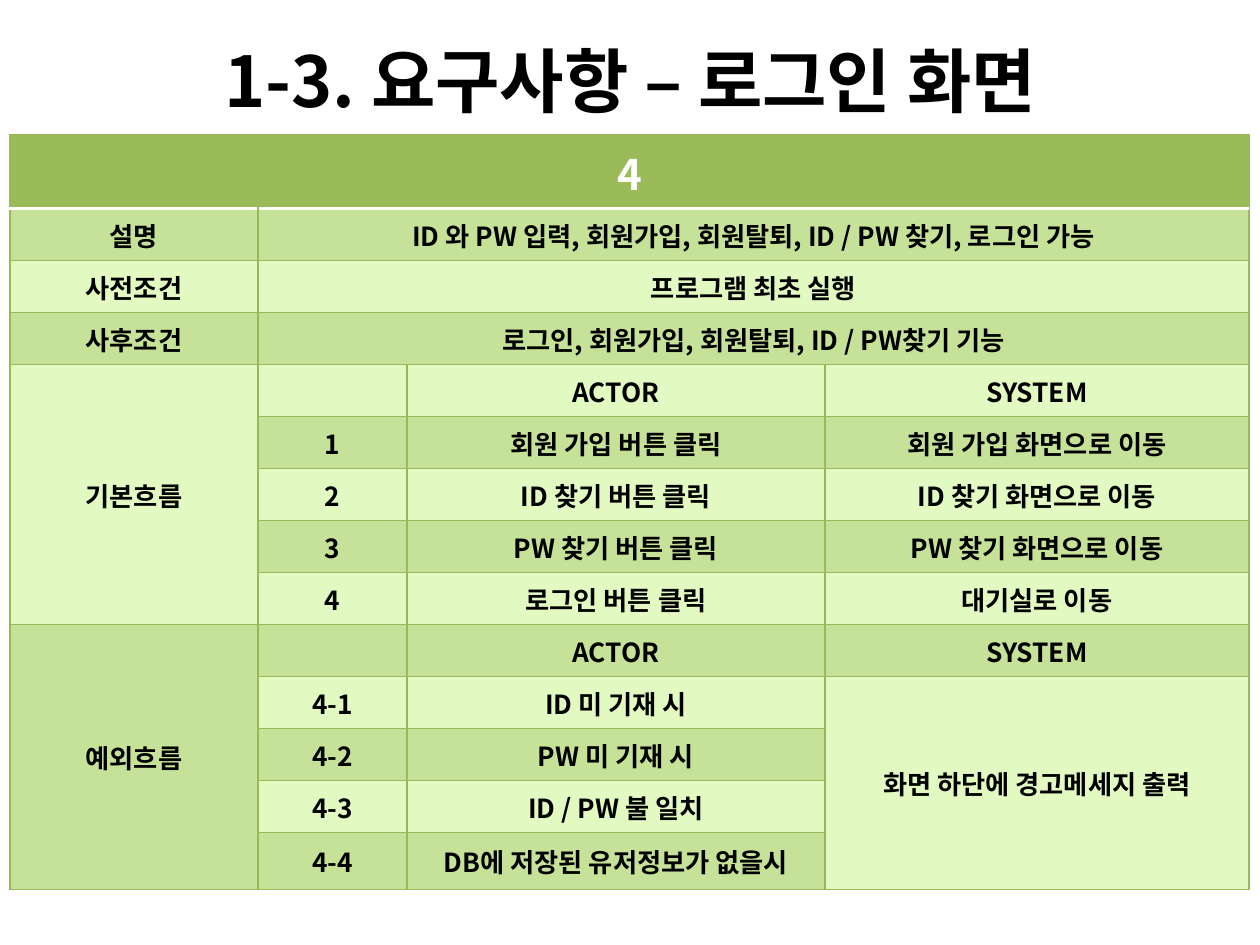
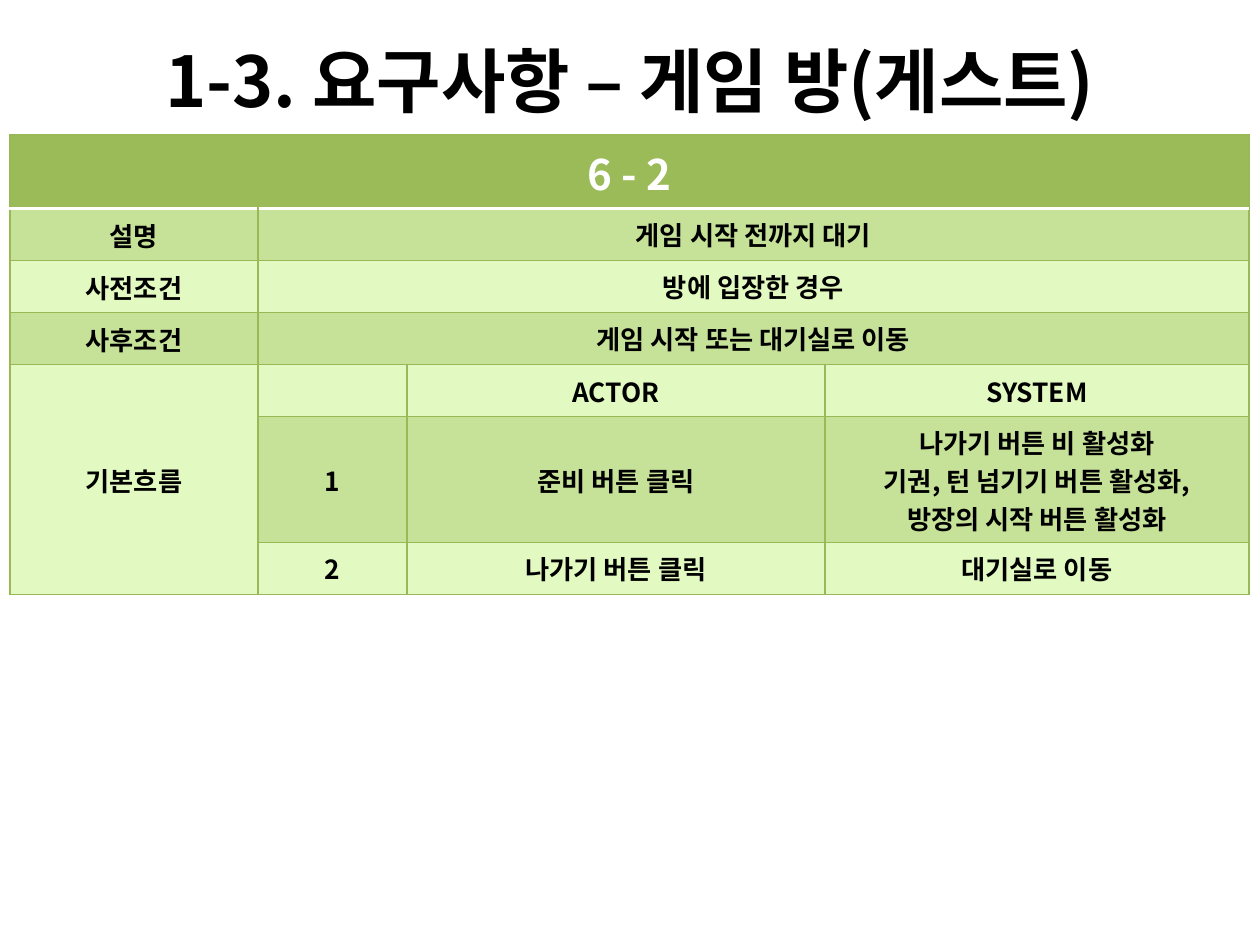
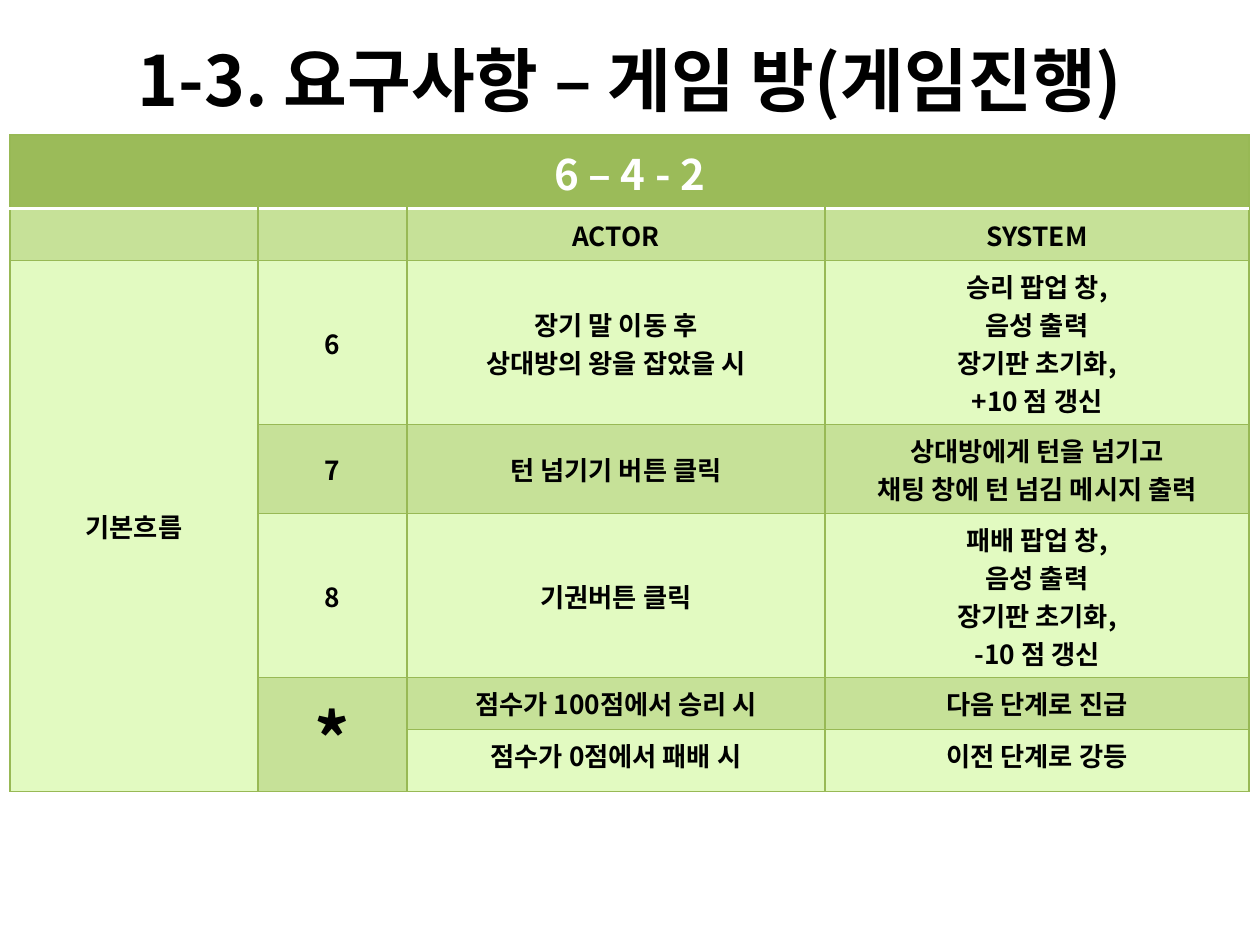
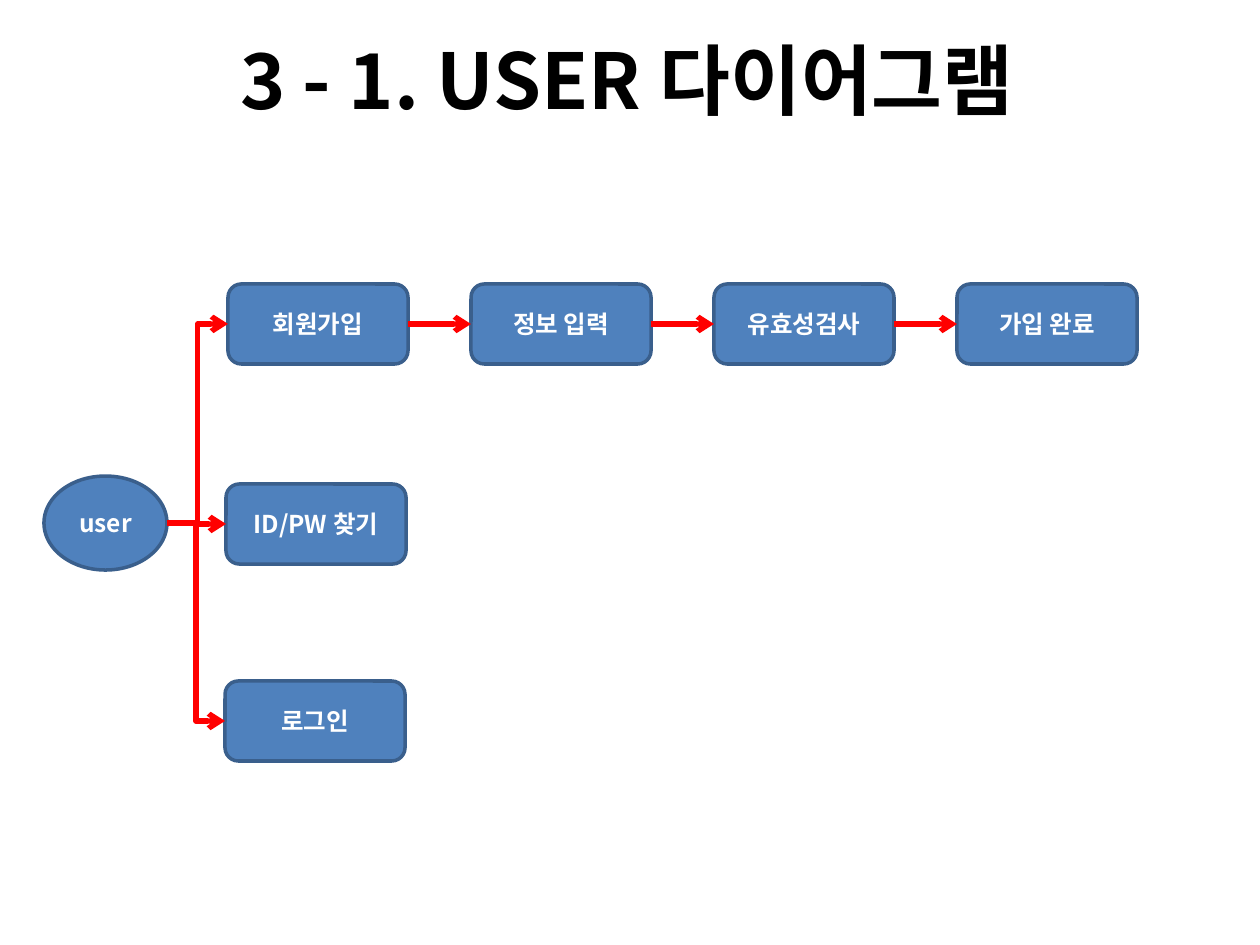
"""Build four slides: three use-case requirement tables and a user flow diagram."""
from dataclasses import dataclass

from lxml.etree import SubElement
from pptx import Presentation
from pptx.dml.color import RGBColor as RGB
from pptx.enum.shapes import MSO_CONNECTOR as CONNECTOR, MSO_SHAPE as SHAPE
from pptx.enum.text import MSO_ANCHOR as ANCHOR, PP_ALIGN as ALIGN
from pptx.oxml import parse_xml
from pptx.oxml.ns import nsdecls, qn
from pptx.util import Pt

PX = 914400 / 126


@dataclass(frozen=True)
class Theme:
    font: str = "Noto Sans CJK KR"
    ink: str = "000000"
    white: str = "FFFFFF"
    header: str = "9BBB59"
    band_dark: str = "C6E198"
    band_light: str = "E2FAC1"
    grid: str = "98B955"
    node: str = "4F81BD"
    node_edge: str = "3A5F8C"
    arrow: str = "FF0000"
    title_size: float = 40
    title_fitted: float = 39.6
    title_large: float = 44
    header_size: float = 24
    body_size: float = 15
    node_size: float = 14


def px(*lengths):
    return [round(length * PX) for length in lengths]


def write(frame, text, size, color):
    frame.word_wrap = True
    for index, line in enumerate(text.split("\n")):
        paragraph = frame.paragraphs[0] if index == 0 else frame.add_paragraph()
        paragraph.alignment = ALIGN.CENTER
        if not line:
            SubElement(paragraph._p, qn("a:endParaRPr"), sz=str(round(size * 100)))
            continue
        run = paragraph.add_run()
        run.text = line
        for name, value in {"name": theme.font, "size": Pt(size), "bold": True}.items():
            setattr(run.font, name, value)
        run.font.color.rgb = RGB.from_string(color)
        SubElement(run._r.get_or_add_rPr(), qn("a:ea"), typeface=theme.font)


theme = Theme()
deck = Presentation()
deck.slide_width, deck.slide_height = px(1260, 945)
blank = deck.slide_layouts[6]

LEFT, UP = "<", "^"
COLUMNS = [248, 149, 418, 424]
ROW = 52
REQUIREMENTS = [
    {
        "title": "1-3. 요구사항 – 로그인 화면",
        "size": theme.title_size,
        "heights": [74] + [ROW] * 12 + [57],
        "top_cells": set(),
        "rows": [
            ["4", LEFT, LEFT, LEFT],
            ["설명", "ID 와 PW 입력, 회원가입, 회원탈퇴, ID / PW 찾기, 로그인 가능", LEFT, LEFT],
            ["사전조건", "프로그램 최초 실행", LEFT, LEFT],
            ["사후조건", "로그인, 회원가입, 회원탈퇴, ID / PW찾기 기능", LEFT, LEFT],
            ["기본흐름", "", "ACTOR", "SYSTEM"],
            [UP, "1", "회원 가입 버튼 클릭", "회원 가입 화면으로 이동"],
            [UP, "2", "ID 찾기 버튼 클릭", "ID 찾기 화면으로 이동"],
            [UP, "3", "PW 찾기 버튼 클릭", "PW 찾기 화면으로 이동"],
            [UP, "4", "로그인 버튼 클릭", "대기실로 이동"],
            ["예외흐름", "", "ACTOR", "SYSTEM"],
            [UP, "4-1", "ID 미 기재 시", "화면 하단에 경고메세지 출력"],
            [UP, "4-2", "PW 미 기재 시", UP],
            [UP, "4-3", "ID / PW 불 일치", UP],
            [UP, "4-4", "DB에 저장된 유저정보가 없을시", UP],
        ],
    },
    {
        "title": "1-3. 요구사항 – 게임 방(게스트)",
        "size": theme.title_size,
        "heights": [74] + [ROW] * 4 + [126, ROW],
        "top_cells": {(1, 1), (2, 1), (3, 1), (5, 3), (6, 1), (6, 2), (6, 3)},
        "rows": [
            ["6 - 2", LEFT, LEFT, LEFT],
            ["설명", "게임 시작 전까지 대기", LEFT, LEFT],
            ["사전조건", "방에 입장한 경우", LEFT, LEFT],
            ["사후조건", "게임 시작 또는 대기실로 이동", LEFT, LEFT],
            ["기본흐름", "", "ACTOR", "SYSTEM"],
            [UP, "1", "준비 버튼 클릭",
             "나가기 버튼 비 활성화\n기권, 턴 넘기기 버튼 활성화,\n방장의 시작 버튼 활성화"],
            [UP, "2", "나가기 버튼 클릭", "대기실로 이동"],
        ],
    },
    {
        "title": "1-3. 요구사항 – 게임 방(게임진행)",
        "size": theme.title_fitted,
        "heights": [74, ROW, 164, 89, 164, ROW, 62],
        "top_cells": {(2, 3), (3, 3), (4, 3), (5, 2), (5, 3), (6, 2), (6, 3)},
        "rows": [
            ["6 – 4 - 2", LEFT, LEFT, LEFT],
            ["", "", "ACTOR", "SYSTEM"],
            ["기본흐름", "6", "장기 말 이동 후\n상대방의 왕을 잡았을 시",
             "승리 팝업 창,\n음성 출력\n장기판 초기화,\n+10 점 갱신"],
            [UP, "7", "턴 넘기기 버튼 클릭", "상대방에게 턴을 넘기고\n채팅 창에 턴 넘김 메시지 출력"],
            [UP, "8", "기권버튼 클릭", "패배 팝업 창,\n음성 출력\n장기판 초기화,\n-10 점 갱신"],
            [UP, "*", "점수가 100점에서 승리 시", "다음 단계로 진급"],
            [UP, UP, "점수가 0점에서 패배 시", "이전 단계로 강등"],
        ],
    },
]
FLOW = {"title": "3 - 1. USER 다이어그램", "size": theme.title_large}

slides = []
for page in REQUIREMENTS + [FLOW]:
    slide = deck.slides.add_slide(blank)
    slides.append(slide)
    place = (60, 0, 1134, 158) if page is FLOW else (63, 20, 1134, 118)
    heading = slide.shapes.add_textbox(*px(*place)).text_frame
    heading.vertical_anchor = ANCHOR.MIDDLE
    write(heading, page["title"], page["size"], theme.ink)

for slide, page in zip(slides, REQUIREMENTS):
    rows, heights = page["rows"], page["heights"]
    table = slide.shapes.add_table(
        len(rows), len(COLUMNS), *px(10, 135, sum(COLUMNS), sum(heights))).table
    for column, width in zip(table.columns, px(*COLUMNS)):
        column.width = width
    for row, height in zip(table.rows, px(*heights)):
        row.height = height
    for r, texts in enumerate(rows):
        band = theme.header if r == 0 else theme.band_dark if r % 2 else theme.band_light
        for c, text in enumerate(texts):
            cell = table.cell(r, c)
            cell.fill.solid()
            cell.fill.fore_color.rgb = RGB.from_string(band)
            white_side = {0: "lnB", 1: "lnT"}.get(r)
            for position, side in enumerate(("lnL", "lnR", "lnT", "lnB")):
                color, weight = (theme.white, 2) if side == white_side else (theme.grid, 0.75)
                cell._tc.get_or_add_tcPr().insert(position, parse_xml(
                    f'<a:{side} {nsdecls("a")} w="{Pt(weight)}"><a:solidFill>'
                    f'<a:srgbClr val="{color}"/></a:solidFill></a:{side}>'))
            if text in (LEFT, UP):
                continue
            cell.vertical_anchor = ANCHOR.TOP if (r, c) in page["top_cells"] else ANCHOR.MIDDLE
            size = theme.header_size if r == 0 else theme.title_size if text == "*" else theme.body_size
            write(cell.text_frame, text, size, theme.white if r == 0 else theme.ink)
            last_row, last_column = r, c
            while last_column + 1 < len(COLUMNS) and texts[last_column + 1] == LEFT:
                last_column += 1
            while last_row + 1 < len(rows) and rows[last_row + 1][c] == UP:
                last_row += 1
            if (last_row, last_column) != (r, c):
                cell.merge(table.cell(last_row, last_column))

flow = slides[-1].shapes
STEP_W, STEP_H, STEP_PITCH = 180, 80, 243
SIGNUP_LEFT, SIGNUP_TOP = 228, 284
signup = ["회원가입", "정보 입력", "유효성검사", "가입 완료"]
nodes = [("user", SHAPE.OVAL, 44, 476, 123, 94)]
nodes += [(name, SHAPE.ROUNDED_RECTANGLE, SIGNUP_LEFT + i * STEP_PITCH, SIGNUP_TOP, STEP_W, STEP_H)
          for i, name in enumerate(signup)]
nodes += [("ID/PW 찾기", SHAPE.ROUNDED_RECTANGLE, 226, 484, STEP_W, STEP_H),
          ("로그인", SHAPE.ROUNDED_RECTANGLE, 225, 681, STEP_W, STEP_H)]
steps = {}
for name, kind, *place in nodes:
    step = steps[name] = flow.add_shape(kind, *px(*place))
    step.shadow.inherit = False
    step.fill.solid()
    step.fill.fore_color.rgb = RGB.from_string(theme.node)
    step.line.color.rgb = RGB.from_string(theme.node_edge)
    step.line.width = Pt(2)
    step.text_frame.vertical_anchor = ANCHOR.MIDDLE
    write(step.text_frame, name, theme.node_size, theme.white)

links = [("user", name) for name in ("회원가입", "ID/PW 찾기", "로그인")]
links += list(zip(signup, signup[1:]))
for source, target in links:
    start, end = steps[source], steps[target]
    kind = CONNECTOR.ELBOW if source == "user" else CONNECTOR.STRAIGHT
    arrow = flow.add_connector(
        kind, start.left + start.width, start.top + start.height // 2,
        end.left, end.top + end.height // 2)
    if kind == CONNECTOR.STRAIGHT:
        arrow.begin_connect(start, 3)
        arrow.end_connect(end, 1)
    arrow.line.color.rgb = RGB.from_string(theme.arrow)
    arrow.line.width = Pt(3)
    SubElement(arrow.line._get_or_add_ln(), qn("a:tailEnd"), type="arrow")
    SubElement(arrow._element.spPr, qn("a:effectLst"))

deck.save("out.pptx")
